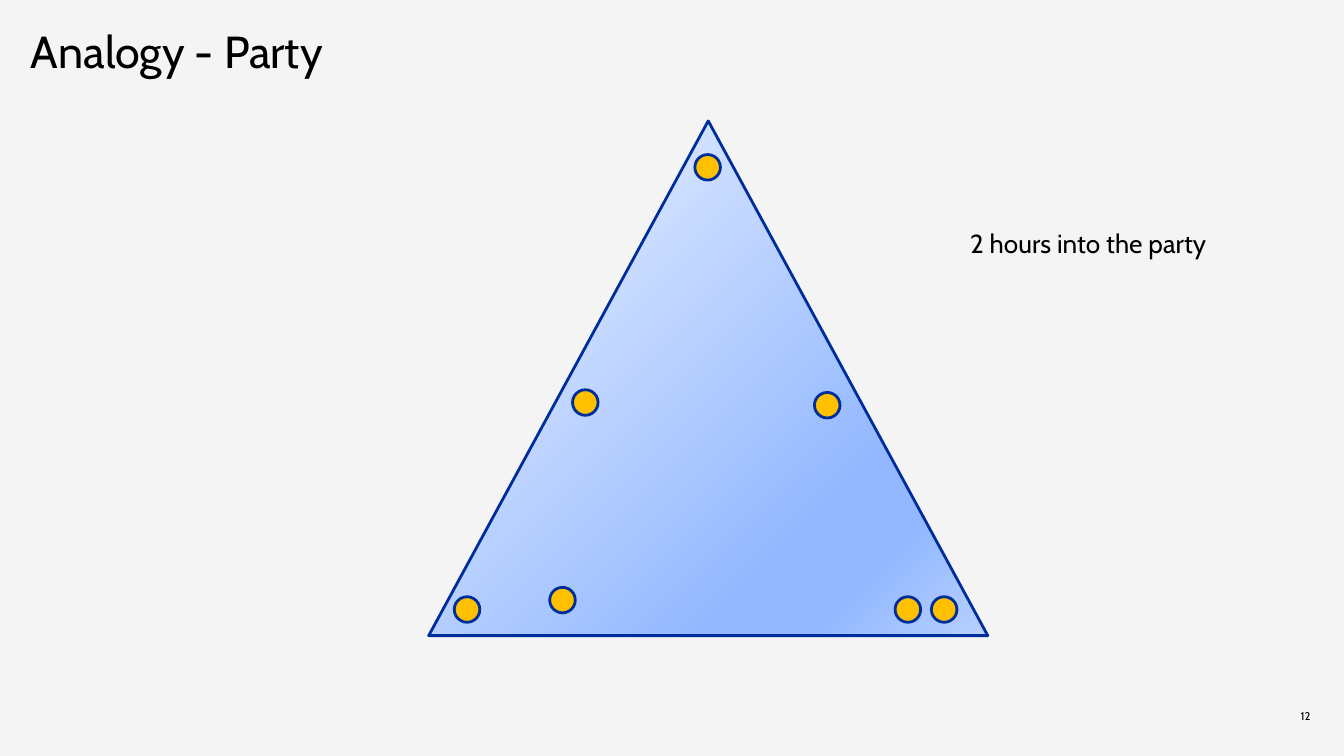
from lxml.etree import SubElement
from pptx import Presentation
from pptx.dml.color import RGBColor
from pptx.enum.shapes import MSO_SHAPE
from pptx.enum.text import MSO_ANCHOR, MSO_AUTO_SIZE, PP_ALIGN
from pptx.oxml.ns import qn
from pptx.util import Inches, Pt

COLORS = {"background": "F4F4F4", "text": "000000", "outline": "002D9C", "guest": "FFC000"}
ROOM_STOPS = [(0, "F3F7FF"), (74, "93B8FF"), (83, "93B8FF"), (100, "B7D0FF")]
GUEST_SIZE = 0.19
GUEST_POSITIONS = [
    (5.17, 1.15), (4.26, 2.9), (6.66, 4.44), (4.09, 4.37),
    (6.93, 4.44), (6.06, 2.92), (3.38, 4.44),
]


def write_text(shape, text, size, alignment, frame_format):
    text_frame = shape.text_frame
    text_frame.text = text
    for name, value in frame_format.items():
        setattr(text_frame, name, value)
    paragraph = text_frame.paragraphs[0]
    paragraph.alignment = alignment
    font = paragraph.runs[0].font
    font.name = "Cabin"
    font.size = Pt(size)
    font.color.rgb = RGBColor.from_string(COLORS["text"])


def add_outlined_shape(kind, left, top, width, height):
    shape = slide.shapes.add_shape(
        kind, Inches(left), Inches(top), Inches(width), Inches(height))
    shape.shadow.inherit = False
    shape.line.color.rgb = RGBColor.from_string(COLORS["outline"])
    shape.line.width = Pt(1.5)
    return shape


presentation = Presentation()
presentation.slide_width = Inches(10)
presentation.slide_height = Inches(10) * 9 // 16
slide = presentation.slides.add_slide(presentation.slide_layouts[5])
slide.background.fill.solid()
slide.background.fill.fore_color.rgb = RGBColor.from_string(COLORS["background"])

no_margins = dict.fromkeys(
    ["margin_left", "margin_top", "margin_right", "margin_bottom"], 0)

title = slide.shapes.title
title.left, title.top = Inches(0.23), Inches(0.22)
title.width, title.height = Inches(4.53), Inches(0.88)
write_text(title, "Analogy - Party", 24, PP_ALIGN.LEFT, {
    **no_margins, "vertical_anchor": MSO_ANCHOR.TOP,
    "word_wrap": True, "auto_size": MSO_AUTO_SIZE.NONE})
title.text_frame.paragraphs[0].line_spacing = 0.9

page_number = slide.shapes.add_textbox(
    Inches(7.75), Inches(5.24), Inches(2), Inches(0.18))
write_text(page_number, "12", 6, PP_ALIGN.RIGHT, {
    **no_margins, "vertical_anchor": MSO_ANCHOR.MIDDLE, "word_wrap": True})

room = add_outlined_shape(MSO_SHAPE.ISOSCELES_TRIANGLE, 3.19, 0.9, 4.16, 3.83)
room.fill.gradient()
room.fill.gradient_angle = 315
stop_list = room.element.spPr.find(qn("a:gradFill")).find(qn("a:gsLst"))
for stop in list(stop_list):
    stop_list.remove(stop)
for percent, color in ROOM_STOPS:
    stop = SubElement(stop_list, qn("a:gs"), pos=str(percent * 1000))
    SubElement(stop, qn("a:srgbClr"), val=color)

for left, top in GUEST_POSITIONS:
    guest = add_outlined_shape(MSO_SHAPE.OVAL, left, top, GUEST_SIZE, GUEST_SIZE)
    guest.fill.solid()
    guest.fill.fore_color.rgb = RGBColor.from_string(COLORS["guest"])

caption = slide.shapes.add_textbox(
    Inches(7.12), Inches(1.64), Inches(2.09), Inches(0.34))
write_text(caption, "2 hours into the party", 14, PP_ALIGN.LEFT, {
    "word_wrap": False, "auto_size": MSO_AUTO_SIZE.SHAPE_TO_FIT_TEXT})

presentation.save("out.pptx")
